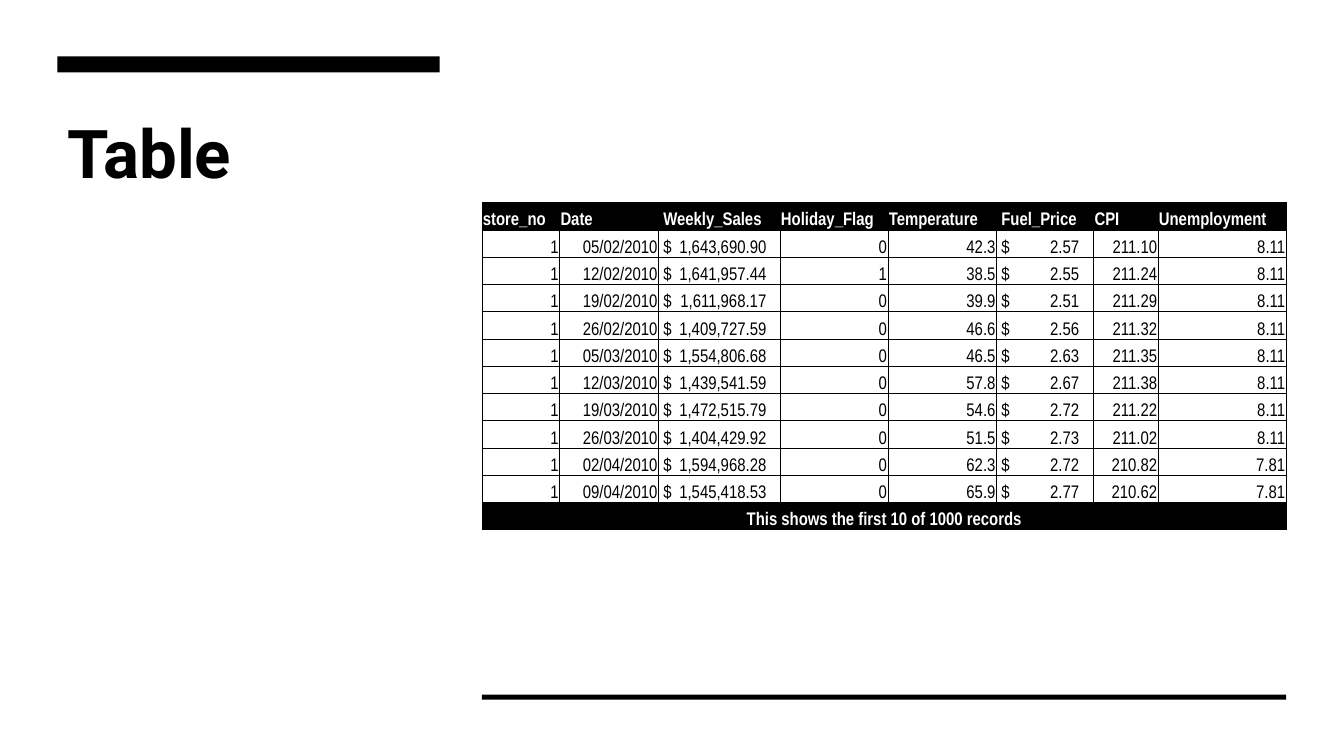
import pptx
import pptx.util
import pptx.dml.color
import pptx.enum.shapes
import pptx.enum.text
import pptx.oxml.ns
import lxml.etree

Pt = pptx.util.Pt
ALIGN = pptx.enum.text.PP_ALIGN
qn = pptx.oxml.ns.qn


def color(hex_code):
    return pptx.dml.color.RGBColor.from_string(hex_code)


def style(font, hex_code, **values):
    for name, value in values.items():
        setattr(font, name, value)
    font.color.rgb = color(hex_code)


deck = pptx.Presentation()
deck.slide_width, deck.slide_height = Pt(960), Pt(540)
slide = deck.slides.add_slide(deck.slide_layouts[6])

title = slide.shapes.add_textbox(Pt(41), Pt(76.3), Pt(273), Pt(232)).text_frame
title.word_wrap = True
title.text = "Table"
style(title.paragraphs[0].runs[0].font, "000000", name="Roboto", size=Pt(48), bold=True)

for left, top, width, height in [(41, 40.3, 273, 11.5), (344.2, 496.1, 574.5, 3.6)]:
    bar = slide.shapes.add_shape(
        pptx.enum.shapes.MSO_SHAPE.RECTANGLE, Pt(left), Pt(top), Pt(width), Pt(height))
    bar.shadow.inherit = False
    bar.fill.solid()
    bar.fill.fore_color.rgb = color("000000")
    bar.line.fill.background()

headings = ["store_no", "Date", "Weekly_Sales", "Holiday_Flag",
            "Temperature", "Fuel_Price", "CPI", "Unemployment"]
weeks = [
    ("05/02/2010", "1,643,690.90", "0", "42.3", "2.57", "211.10", "8.11"),
    ("12/02/2010", "1,641,957.44", "1", "38.5", "2.55", "211.24", "8.11"),
    ("19/02/2010", "1,611,968.17", "0", "39.9", "2.51", "211.29", "8.11"),
    ("26/02/2010", "1,409,727.59", "0", "46.6", "2.56", "211.32", "8.11"),
    ("05/03/2010", "1,554,806.68", "0", "46.5", "2.63", "211.35", "8.11"),
    ("12/03/2010", "1,439,541.59", "0", "57.8", "2.67", "211.38", "8.11"),
    ("19/03/2010", "1,472,515.79", "0", "54.6", "2.72", "211.22", "8.11"),
    ("26/03/2010", "1,404,429.92", "0", "51.5", "2.73", "211.02", "8.11"),
    ("02/04/2010", "1,594,968.28", "0", "62.3", "2.72", "210.82", "7.81"),
    ("09/04/2010", "1,545,418.53", "0", "65.9", "2.77", "210.62", "7.81"),
]
footnote = "This shows the first 10 of 1000 records"
rows = [headings] + [("1",) + week for week in weeks] + [[footnote] + [""] * 7]
column_widths = [55.5, 70.5, 87, 77, 77.5, 69.5, 46, 91.5]
amount_tabs = {2: 73.5, 5: 55.5}
last_row = len(rows) - 1

sales = slide.shapes.add_table(
    len(rows), len(headings), Pt(344.2), Pt(144.7), Pt(574.5), Pt(19.5 * len(rows))).table
for column, width in zip(sales.columns, column_widths):
    column.width = Pt(width)
for row in sales.rows:
    row.height = Pt(19.5)
sales.cell(last_row, 0).merge(sales.cell(last_row, 7))

for r, row in enumerate(rows):
    dark = r in (0, last_row)
    for c, entry in enumerate(row):
        cell = sales.cell(r, c)
        is_amount = c in amount_tabs
        margins = {"margin_left": Pt(3.6 if is_amount else 0.7), "margin_right": Pt(0.7),
                   "margin_top": Pt(0.7), "margin_bottom": Pt(0),
                   "vertical_anchor": pptx.enum.text.MSO_ANCHOR.BOTTOM}
        for name, value in margins.items():
            setattr(cell, name, value)

        for side in ("a:lnL", "a:lnR", "a:lnT", "a:lnB"):
            border = lxml.etree.SubElement(cell._tc.get_or_add_tcPr(), qn(side), w=str(Pt(0.5)))
            paint = lxml.etree.SubElement(border, qn("a:solidFill"))
            lxml.etree.SubElement(paint, qn("a:srgbClr"), val="000000")
        cell.fill.solid()
        cell.fill.fore_color.rgb = color("000000" if dark else "FFFFFF")

        paragraph = cell.text_frame.paragraphs[0]
        if r == last_row:
            paragraph.alignment = ALIGN.CENTER
        elif dark or is_amount:
            paragraph.alignment = ALIGN.LEFT
        else:
            paragraph.alignment = ALIGN.RIGHT
        if is_amount and not dark:
            tabs = lxml.etree.SubElement(paragraph._p.get_or_add_pPr(), qn("a:tabLst"))
            lxml.etree.SubElement(tabs, qn("a:tab"), pos=str(Pt(amount_tabs[c])), algn="r")
            entry = "$\t" + entry
        if entry:
            run = paragraph.add_run()
            run.text = entry
            style(run.font, "FFFFFF" if dark else "000000",
                  name="Arial Narrow", size=Pt(13), bold=dark)
        else:
            paragraph.font.size = Pt(13)

deck.save("out.pptx")
